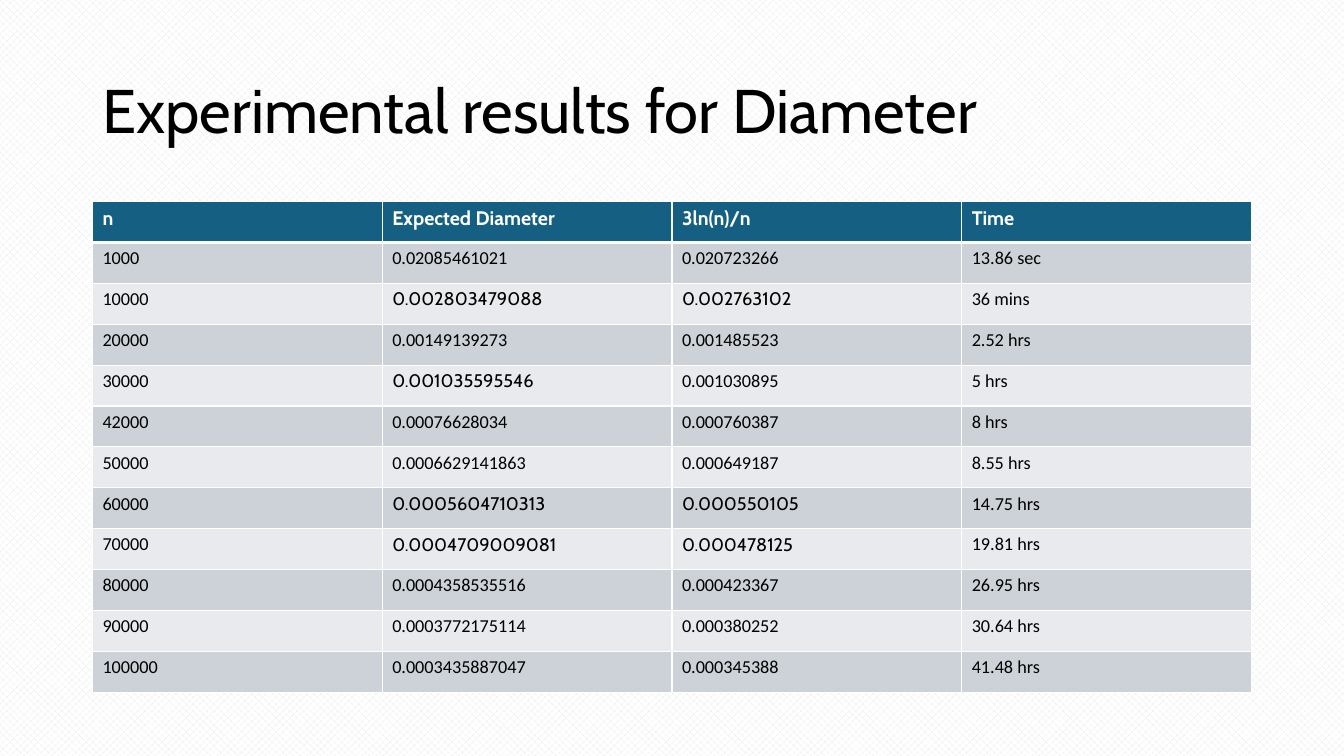
from lxml.etree import SubElement
from pptx import Presentation
from pptx.dml.color import RGBColor
from pptx.enum.dml import MSO_PATTERN
from pptx.enum.text import MSO_ANCHOR
from pptx.oxml.ns import qn
from pptx.util import Cm, Pt

COLORS = {
    "text": "000000",
    "white": "FFFFFF",
    "pattern": "E8E8E8",
    "header": "156082",
    "odd_row": "CCD2D8",
    "even_row": "E8EAED",
}
HEADINGS = ("n", "Expected Diameter", "3ln(n)/n", "Time")
RESULTS = (
    ("1000", "0.02085461021", "0.020723266", "13.86 sec"),
    ("10000", "0.002803479088", "0.002763102", "36 mins"),
    ("20000", "0.00149139273", "0.001485523", "2.52 hrs"),
    ("30000", "0.001035595546", "0.001030895", "5 hrs"),
    ("42000", "0.00076628034", "0.000760387", "8 hrs"),
    ("50000", "0.0006629141863", "0.000649187", "8.55 hrs"),
    ("60000", "0.0005604710313", "0.000550105", "14.75 hrs"),
    ("70000", "0.0004709009081", "0.000478125", "19.81 hrs"),
    ("80000", "0.0004358535516", "0.000423367", "26.95 hrs"),
    ("90000", "0.0003772175114", "0.000380252", "30.64 hrs"),
    ("100000", "0.0003435887047", "0.000345388", "41.48 hrs"),
)
CABIN_VALUES = {
    "0.002803479088", "0.002763102", "0.001035595546", "0.0005604710313",
    "0.000550105", "0.0004709009081", "0.000478125",
}


def color(name):
    return RGBColor.from_string(COLORS[name])


class SlideBuilder:
    heading_font = "Cabin"
    body_font = "Calibri"

    def __init__(self, slide):
        self.slide = slide

    def background(self):
        fill = self.slide.background.fill
        fill.patterned()
        fill.pattern = MSO_PATTERN.PERCENT_50
        fill.fore_color.rgb = color("pattern")
        fill.back_color.rgb = color("white")

    def run(self, paragraph, text, font, size, color_name="text", bold=False):
        run = paragraph.add_run()
        run.text = text
        run.font.name = font
        run.font.size = Pt(size)
        run.font.bold = bold
        run.font.color.rgb = color(color_name)

    def title(self, text, left, top, width, height):
        shape = self.slide.shapes.add_textbox(Cm(left), Cm(top), Cm(width), Cm(height))
        frame = shape.text_frame
        frame.word_wrap = True
        frame.vertical_anchor = MSO_ANCHOR.MIDDLE
        paragraph = frame.paragraphs[0]
        paragraph.line_spacing = 0.9
        self.run(paragraph, text, self.heading_font, 44)

    def borders(self, cell, top, bottom):
        """Draw white cell borders; top and bottom are widths in points."""
        properties = cell._tc.get_or_add_tcPr()
        for tag, width in (("a:lnL", 1), ("a:lnR", 1), ("a:lnT", top), ("a:lnB", bottom)):
            line = SubElement(properties, qn(tag), w=str(Pt(width)))
            fill = SubElement(line, qn("a:solidFill"))
            SubElement(fill, qn("a:srgbClr"), val=COLORS["white"])

    def cell(self, cell, text, row_index):
        is_header = row_index == 0
        self.borders(cell, 3 if row_index == 1 else 1, 3 if is_header else 1)
        cell.fill.solid()
        paragraph = cell.text_frame.paragraphs[0]
        if is_header:
            cell.fill.fore_color.rgb = color("header")
            self.run(paragraph, text, self.heading_font, 14, "white", True)
        else:
            cell.fill.fore_color.rgb = color("odd_row" if row_index % 2 else "even_row")
            font = self.heading_font if text in CABIN_VALUES else self.body_font
            self.run(paragraph, text, font, 13)

    def table(self, rows, left, top, width, row_height):
        frame = self.slide.shapes.add_table(
            len(rows), len(rows[0]), Cm(left), Cm(top), Cm(width), Cm(row_height * len(rows))
        )
        table = frame.table
        for row_index, values in enumerate(rows):
            table.rows[row_index].height = Cm(row_height)
            for column_index, text in enumerate(values):
                self.cell(table.cell(row_index, column_index), text, row_index)


def main():
    presentation = Presentation()
    presentation.slide_width = Cm(33.87)
    presentation.slide_height = Cm(19.05)
    builder = SlideBuilder(presentation.slides.add_slide(presentation.slide_layouts[6]))
    builder.background()
    builder.title("Experimental results for Diameter", 2.33, 1.01, 29.21, 3.68)
    builder.table((HEADINGS,) + RESULTS, 2.33, 5.08, 29.21, 1.03)
    presentation.save("out.pptx")


if __name__ == "__main__":
    main()
